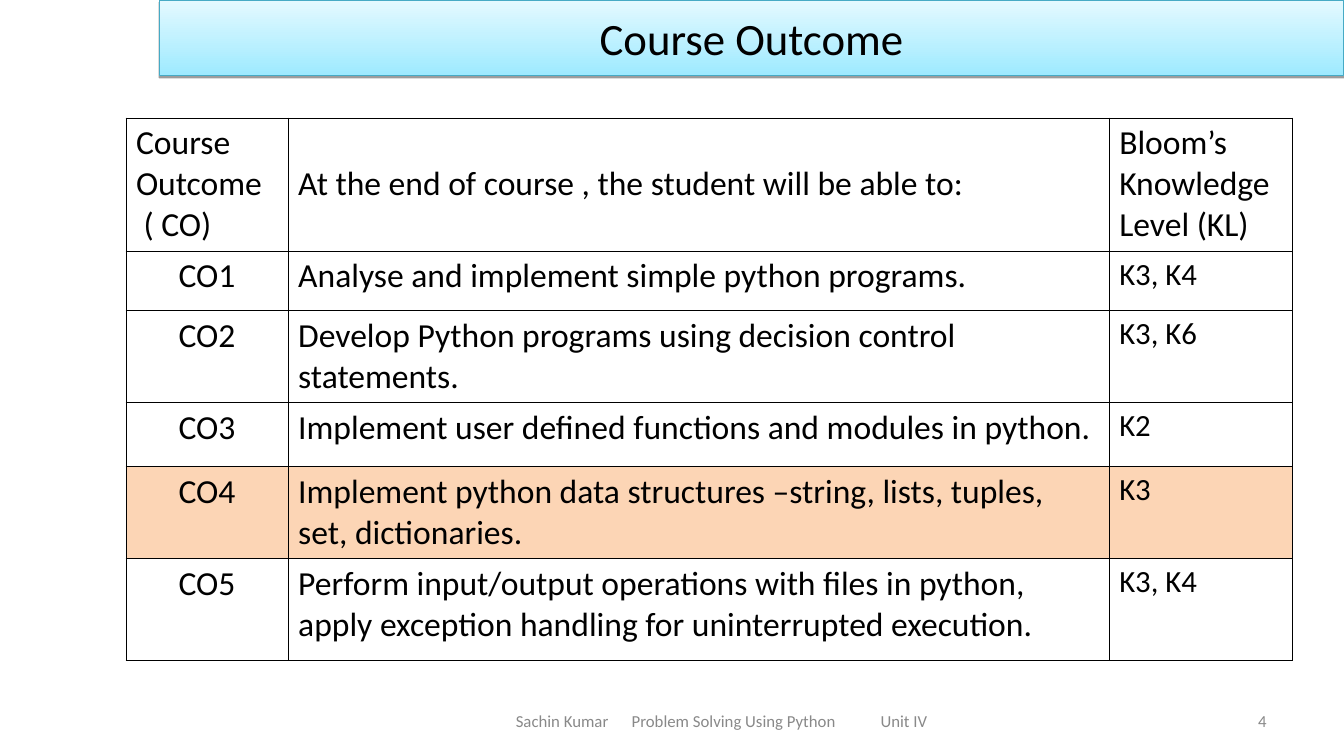
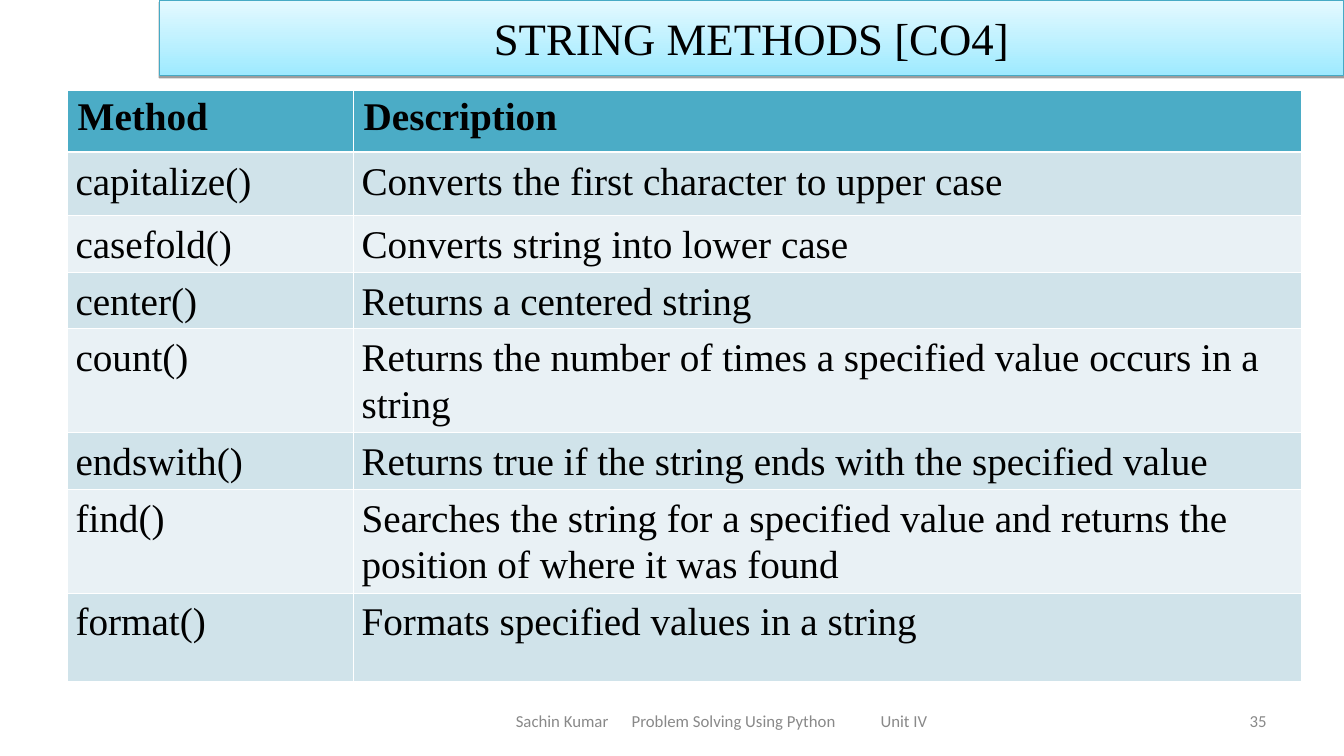
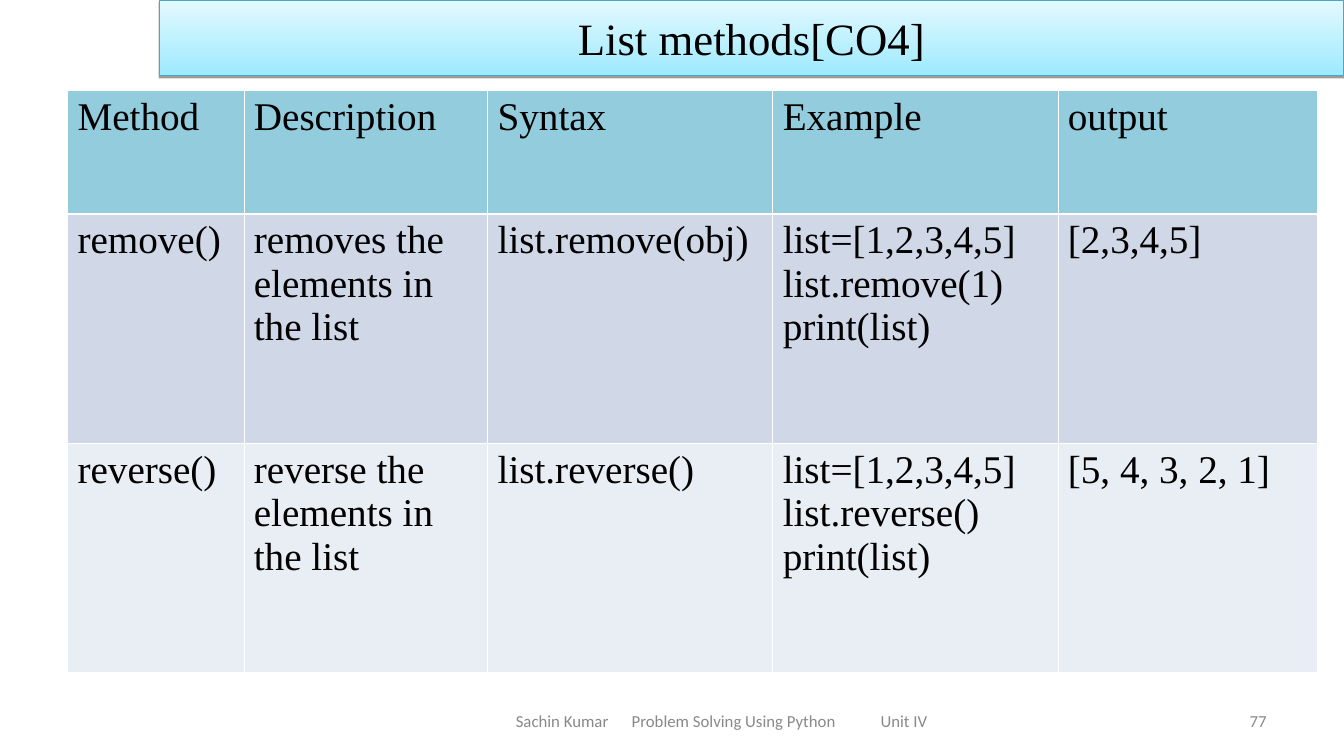
from lxml.etree import SubElement
from pptx import Presentation
from pptx.dml.color import RGBColor
from pptx.enum.text import MSO_ANCHOR, MSO_AUTO_SIZE, PP_ALIGN
from pptx.oxml.ns import qn
from pptx.util import Inches, Pt

SLIDE_WIDTH, SLIDE_HEIGHT = 13.34, 7.5
BANNER_LEFT, BANNER_HEIGHT = 1.58, 0.75
FOOTER_TOP, FOOTER_HEIGHT = 6.95, 0.4

BLACK = RGBColor(0x00, 0x00, 0x00)
WHITE = RGBColor(0xFF, 0xFF, 0xFF)
GREY = RGBColor(0x89, 0x89, 0x89)
BANNER_FILLS = RGBColor(0x9E, 0xEA, 0xFF), RGBColor(0xE4, 0xF9, 0xFF)
BANNER_EDGE = RGBColor(0x46, 0xAA, 0xC5)
PEACH = RGBColor(0xFC, 0xD5, 0xB5)
TEAL = RGBColor(0x4B, 0xAC, 0xC6)
TEAL_BANDS = RGBColor(0xD0, 0xE3, 0xEA), RGBColor(0xE9, 0xF1, 0xF5)
AQUA = RGBColor(0x93, 0xCD, 0xDD)
BLUE_BANDS = RGBColor(0xD0, 0xD8, 0xE8), RGBColor(0xE9, 0xED, 0xF4)

SANS, SERIF = "Calibri", "Times New Roman"
THIN, THICK = 0.45, 1.47
FOOTER = "Sachin Kumar\tProblem Solving Using Python\tUnit IV"
FOOTER_TABS = 1.15, 3.62

OUTCOMES = [
    ("Course Outcome\n ( CO)", "At the end of course , the student will be able to:",
     "Bloom’s Knowledge Level (KL)"),
    ("CO1", "Analyse and implement simple python programs.", "K3, K4"),
    ("CO2", "Develop Python programs using decision control statements.", "K3, K6"),
    ("CO3", "Implement user defined functions and modules in python.", "K2"),
    ("CO4", "Implement python data structures –string, lists, tuples, set, dictionaries.", "K3"),
    ("CO5", "Perform input/output operations with files in python, "
            "apply exception handling for uninterrupted execution.", "K3, K4"),
]
STRING_METHODS = [
    ("Method", "Description"),
    ("capitalize()", "Converts the first character to upper case"),
    ("casefold()", "Converts string into lower case"),
    ("center()", "Returns a centered string"),
    ("count()", "Returns the number of times a specified value occurs in a string"),
    ("endswith()", "Returns true if the string ends with the specified value"),
    ("find()", "Searches the string for a specified value and returns the position "
               "of where it was found"),
    ("format()", "Formats specified values in a string"),
]
LIST_METHODS = [
    ("Method", "Description", "Syntax", "Example", "output"),
    ("remove()", "removes the elements in the list", "list.remove(obj)",
     "list=[1,2,3,4,5]\nlist.remove(1)\nprint(list)", "[2,3,4,5]"),
    ("reverse()", "reverse the elements in the list", "list.reverse()",
     "list=[1,2,3,4,5]\nlist.reverse()\nprint(list)", "[5, 4, 3, 2, 1]"),
]


def format_text(frame, font, size, color=BLACK, align=PP_ALIGN.LEFT, bold=False, spacing=None):
    for para in frame.paragraphs:
        para.alignment = align
        if spacing:
            para.line_spacing = spacing
        for span in para.runs:
            span.font.name, span.font.size = font, Pt(size)
            span.font.bold = bold
            span.font.color.rgb = color


def add_banner(page, text, font):
    banner = page.shapes.title
    banner.left, banner.top = Inches(BANNER_LEFT), 0
    banner.width, banner.height = Inches(SLIDE_WIDTH - BANNER_LEFT), Inches(BANNER_HEIGHT)
    banner.fill.gradient()
    banner.fill.gradient_angle = 90
    for stop, color in zip(banner.fill.gradient_stops, BANNER_FILLS):
        stop.color.rgb = color
    banner.line.color.rgb = BANNER_EDGE
    banner.line.width = Pt(0.75)
    banner.shadow.inherit = False
    effects = banner._element.spPr.find(qn("a:effectLst"))
    shadow = SubElement(effects, qn("a:outerShdw"), blurRad="0", dist=str(Pt(1.6)),
                        dir="5400000", rotWithShape="0")
    shade = SubElement(shadow, qn("a:srgbClr"), val=str(BLACK))
    SubElement(shade, qn("a:alpha"), val="38000")
    frame = banner.text_frame
    frame.text = text
    frame.auto_size = MSO_AUTO_SIZE.NONE
    frame.vertical_anchor = MSO_ANCHOR.MIDDLE
    format_text(frame, font, 32, align=PP_ALIGN.CENTER)


def add_footer_text(page, left, width, text, align):
    box = page.shapes.add_textbox(Inches(left), Inches(FOOTER_TOP),
                                  Inches(width), Inches(FOOTER_HEIGHT))
    frame = box.text_frame
    frame.word_wrap = True
    frame.vertical_anchor = MSO_ANCHOR.MIDDLE
    frame.text = text
    format_text(frame, SANS, 12, GREY, align)
    return frame


def add_footer(page, number):
    frame = add_footer_text(page, 4.42, 5.5, FOOTER, PP_ALIGN.LEFT)
    frame.margin_left = Inches(0.7)
    stops = SubElement(frame.paragraphs[0]._p.get_or_add_pPr(), qn("a:tabLst"))
    for position in FOOTER_TABS:
        SubElement(stops, qn("a:tab"), pos=str(Inches(position)), algn="l")
    add_footer_text(page, 9.56, 3.11, str(number), PP_ALIGN.RIGHT)


def set_borders(cell, color, top=THIN, bottom=THIN):
    properties = cell._tc.get_or_add_tcPr()
    for side, width in (("L", THIN), ("R", THIN), ("T", top), ("B", bottom)):
        line = SubElement(properties, qn(f"a:ln{side}"), w=str(Pt(width)))
        SubElement(SubElement(line, qn("a:solidFill")), qn("a:srgbClr"), val=str(color))


def add_grid(page, rows, left, top, widths, heights, style):
    table = page.shapes.add_table(len(rows), len(widths), Inches(left), Inches(top),
                                  Inches(sum(widths)), Inches(sum(heights))).table
    table.first_row = table.horz_banding = False
    for column, width in zip(table.columns, widths):
        column.width = Inches(width)
    for row, height in zip(table.rows, heights):
        row.height = Inches(height)
    for row_index, texts in enumerate(rows):
        for column_index, text in enumerate(texts):
            cell = table.cell(row_index, column_index)
            cell.text_frame.text = text
            style(cell, row_index, column_index)


def style_outcomes(cell, row, column):
    set_borders(cell, BLACK)
    if row == 4:
        cell.fill.solid()
        cell.fill.fore_color.rgb = PEACH
    else:
        cell.fill.background()
    if row == 0 and column == 1:
        cell.vertical_anchor = MSO_ANCHOR.MIDDLE
    format_text(cell.text_frame, SANS, 22 if row and column == 2 else 24,
                align=PP_ALIGN.CENTER if row and column == 0 else PP_ALIGN.LEFT)


def banded_style(header, bands, bold_header=False, margin=0.1, spacing=None):
    def style(cell, row, column):
        set_borders(cell, WHITE, THICK if row == 1 else THIN, THICK if row == 0 else THIN)
        cell.fill.solid()
        cell.fill.fore_color.rgb = bands[(row - 1) % 2] if row else header
        if row:
            cell.margin_left = cell.margin_right = Inches(margin)
        format_text(cell.text_frame, SERIF, 28, bold=bold_header and row == 0,
                    spacing=spacing if row else None)
    return style


PAGES = [
    dict(title="Course Outcome", font=SANS, number=4, rows=OUTCOMES, left=1.25, top=1.17,
         widths=(1.61, 8.15, 1.82), heights=(1.32, 0.59, 0.91, 0.63, 0.91, 1.01),
         style=style_outcomes),
    dict(title="STRING METHODS [CO4]", font=SERIF, number=35, rows=STRING_METHODS,
         left=0.67, top=0.9, widths=(2.84, 9.41),
         heights=(0.61, 0.63, 0.5, 0.5, 1.03, 0.51, 1.03, 0.88),
         style=banded_style(TEAL, TEAL_BANDS, bold_header=True, margin=0.08, spacing=1.07)),
    dict(title="List methods[CO4]", font=SERIF, number=77, rows=LIST_METHODS,
         left=0.67, top=0.9, widths=(1.75, 2.42, 2.83, 2.83, 2.58), heights=(1.22, 2.28, 2.27),
         style=banded_style(AQUA, BLUE_BANDS)),
]


def main():
    deck = Presentation()
    deck.slide_width, deck.slide_height = Inches(SLIDE_WIDTH), Inches(SLIDE_HEIGHT)
    for content in PAGES:
        page = deck.slides.add_slide(deck.slide_layouts.get_by_name("Title Only"))
        add_banner(page, content["title"], content["font"])
        add_grid(page, content["rows"], content["left"], content["top"],
                 content["widths"], content["heights"], content["style"])
        add_footer(page, content["number"])
    deck.save("out.pptx")


if __name__ == "__main__":
    main()
